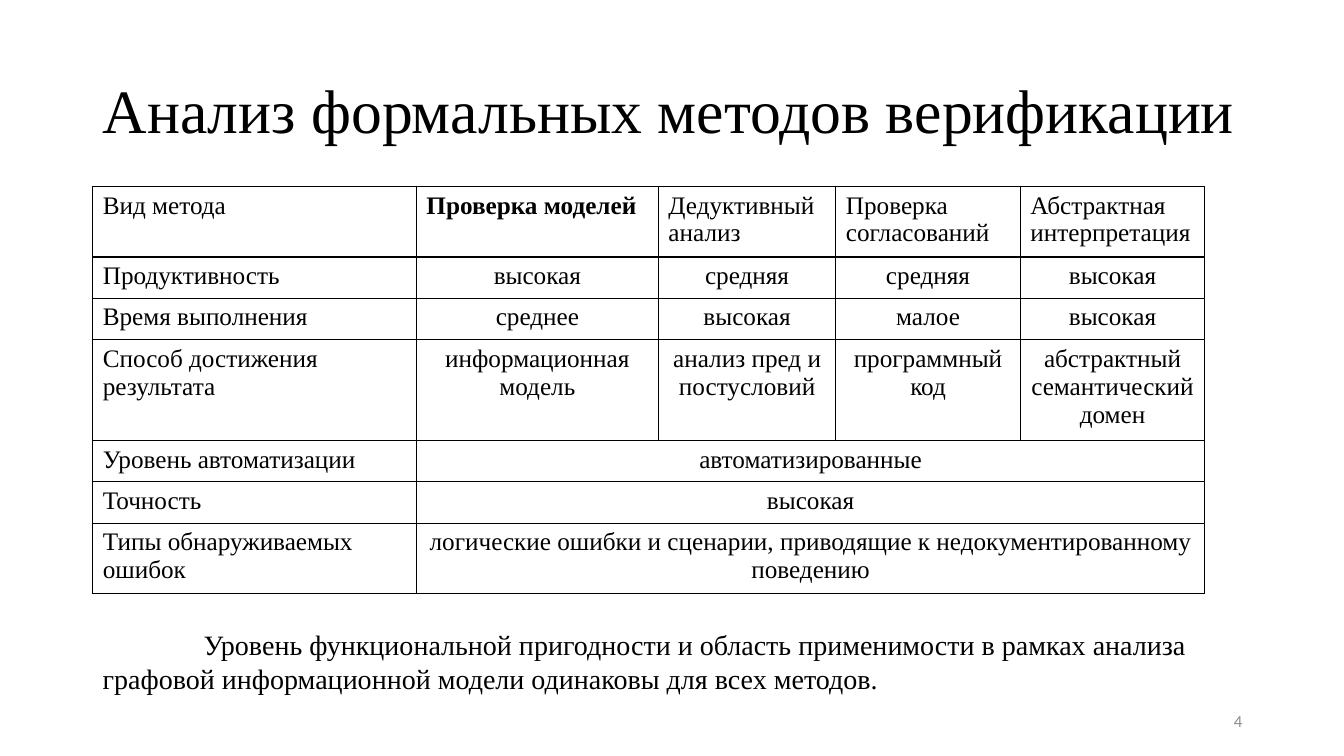
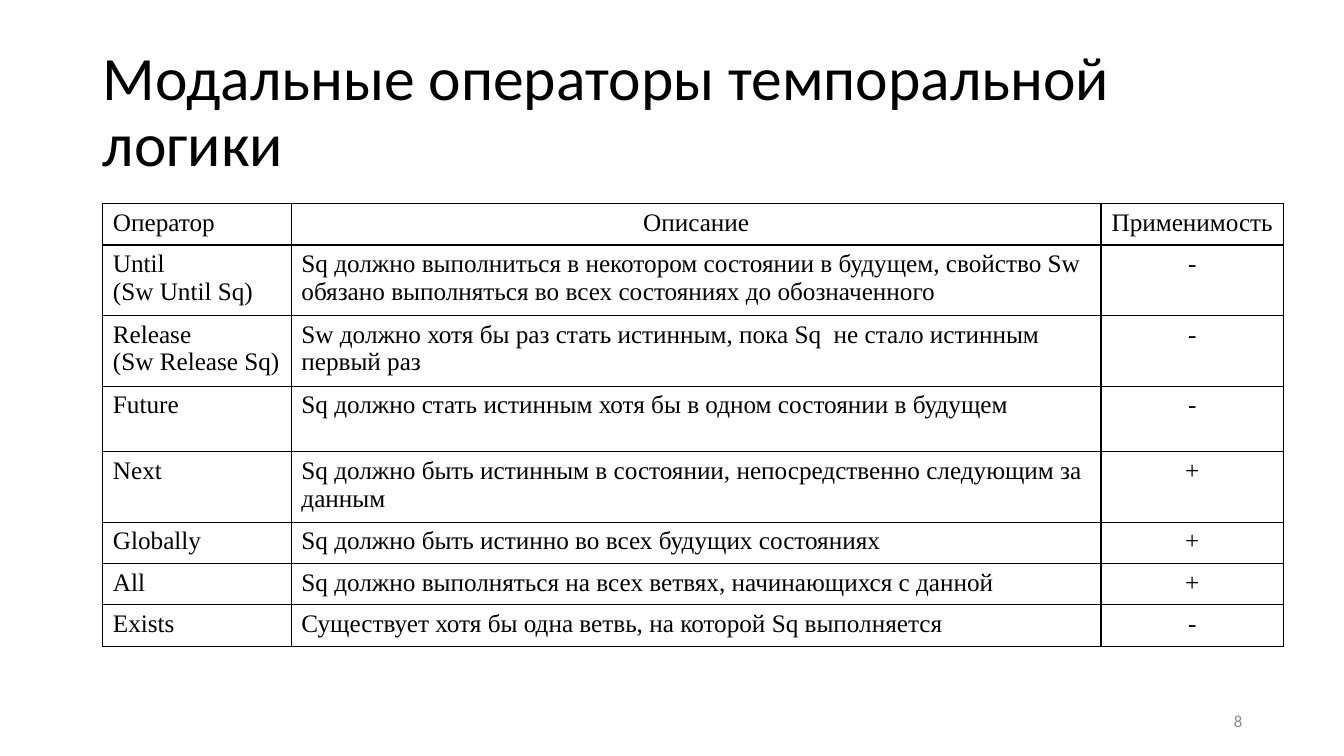
"""Two slides with comparison tables on formal verification and temporal logic."""
from dataclasses import dataclass

from lxml import etree
from pptx import Presentation
from pptx.dml.color import RGBColor
from pptx.enum.text import MSO_ANCHOR, PP_ALIGN
from pptx.oxml.ns import qn
from pptx.util import Inches, Pt

ALIGN = {"L": PP_ALIGN.LEFT, "C": PP_ALIGN.CENTER, "R": PP_ALIGN.RIGHT}
TOP, MIDDLE = MSO_ANCHOR.TOP, MSO_ANCHOR.MIDDLE


@dataclass(frozen=True)
class Theme:
    serif: str = "Times New Roman"
    sans: str = "Calibri"
    ink: str = "000000"
    muted: str = "8C8C8C"
    title: int = 44
    note: int = 20
    cell: int = 18
    number: int = 12
    border: int = 1


T = Theme()
TITLE_BOX = (0.92, 0.4, 11.5, 1.45)
NOTE_BOX = (0.92, 6.18, 11.05, 0.77)
NUMBER_BOX = (9.42, 6.95, 3, 0.4)
LINE_ROWS = {1: 0.41, 2: 0.65, 3: 0.93}

SLIDES = [
    {
        "title": "Анализ формальных методов верификации",
        "font": T.serif,
        "number": "4",
        "note": "Уровень функциональной пригодности и область применимости в рамках анализа "
                "графовой информационной модели одинаковы для всех методов.",
        "at": (0.92, 1.85),
        "cols": (3.21, 2.4, 1.76, 1.83, 1.83),
        "lines": (2, 1, 1, 3, 1, 1, 2),
        "align": ("LLLLL", "LCCCC"),
        "bold": "Проверка моделей",
        "rows": [
            ("Вид метода", "Проверка моделей", "Дедуктивный анализ",
             "Проверка согласований", "Абстрактная интерпретация"),
            ("Продуктивность", "высокая", "средняя", "средняя", "высокая"),
            ("Время выполнения", "среднее", "высокая", "малое", "высокая"),
            ("Способ достижения результата", "информационная модель",
             "анализ пред и постусловий", "программный код",
             "абстрактный семантический домен"),
            ("Уровень автоматизации", "автоматизированные"),
            ("Точность", "высокая"),
            ("Типы обнаруживаемых ошибок",
             "логические ошибки и сценарии, приводящие к недокументированному поведению"),
        ],
    },
    {
        "title": "Модальные операторы темпоральной логики",
        "font": T.sans,
        "number": "8",
        "note": None,
        "at": (1.02, 2.02),
        "cols": (1.87, 8.03, 1.81),
        "lines": (1, 2, 2, 2, 2, 1, 1, 1),
        "align": ("LCC", "LLC"),
        "bold": None,
        "rows": [
            ("Оператор", "Описание", "Применимость"),
            ("Until\n(Sw Until Sq)",
             "Sq должно выполниться в некотором состоянии в будущем, свойство Sw "
             "обязано выполняться во всех состояниях до обозначенного", "-"),
            ("Release\n(Sw Release Sq)",
             "Sw должно хотя бы раз стать истинным, пока Sq  не стало истинным первый раз", "-"),
            ("Future", "Sq должно стать истинным хотя бы в одном состоянии в будущем", "-"),
            ("Next", "Sq должно быть истинным в состоянии, непосредственно следующим за данным", "+"),
            ("Globally", "Sq должно быть истинно во всех будущих состояниях", "+"),
            ("All", "Sq должно выполняться на всех ветвях, начинающихся с данной", "+"),
            ("Exists", "Существует хотя бы одна ветвь, на которой Sq выполняется", "-"),
        ],
    },
]


def write(tf, text, size, font=T.serif, color=T.ink, align="L", bold=False):
    for i, line in enumerate(text.split("\n")):
        p = tf.paragraphs[0] if i == 0 else tf.add_paragraph()
        p.alignment = ALIGN[align]
        r = p.add_run()
        r.text = line
        r.font.name, r.font.size, r.font.bold = font, Pt(size), bold
        r.font.color.rgb = RGBColor.from_string(color)


def add_text(s, box, text, size, anchor=TOP, **style):
    tf = s.shapes.add_textbox(*map(Inches, box)).text_frame
    tf.word_wrap = True
    tf.vertical_anchor = anchor
    write(tf, text, size, **style)
    return tf.paragraphs[0]


def set_borders(cell):
    tcPr = cell._tc.get_or_add_tcPr()
    for i, side in enumerate(("a:lnL", "a:lnR", "a:lnT", "a:lnB")):
        ln = etree.Element(qn(side), w=str(Pt(T.border)))
        fill = etree.SubElement(ln, qn("a:solidFill"))
        etree.SubElement(fill, qn("a:srgbClr"), val=T.ink)
        tcPr.insert(i, ln)


def add_grid(s, data):
    cols, rows = data["cols"], data["rows"]
    heights = [LINE_ROWS[n] for n in data["lines"]]
    box = (*data["at"], sum(cols), sum(heights))
    table = s.shapes.add_table(len(rows), len(cols), *map(Inches, box)).table
    table.first_row = table.horz_banding = False
    for column, width in zip(table.columns, cols):
        column.width = Inches(width)
    for i, (texts, height) in enumerate(zip(rows, heights)):
        table.rows[i].height = Inches(height)
        for j in range(len(cols)):
            cell = table.cell(i, j)
            cell.fill.background()
            set_borders(cell)
        if len(texts) < len(cols):
            table.cell(i, len(texts) - 1).merge(table.cell(i, len(cols) - 1))
        for j, text in enumerate(texts):
            write(table.cell(i, j).text_frame, text, T.cell,
                  align=data["align"][min(i, 1)][j], bold=text == data["bold"])


def build_slide(prs, data):
    s = prs.slides.add_slide(prs.slide_layouts[6])
    p = add_text(s, TITLE_BOX, data["title"], T.title, MIDDLE, font=data["font"])
    p.line_spacing = 0.9
    add_grid(s, data)
    if data["note"]:
        p = add_text(s, NOTE_BOX, data["note"], T.note)
        p._p.get_or_add_pPr().set("indent", str(Inches(1)))
    add_text(s, NUMBER_BOX, data["number"], T.number, MIDDLE,
             font=T.sans, color=T.muted, align="R")


def main():
    prs = Presentation()
    prs.slide_width, prs.slide_height = Inches(13.33), Inches(7.5)
    for data in SLIDES:
        build_slide(prs, data)
    prs.save("out.pptx")


if __name__ == "__main__":
    main()
